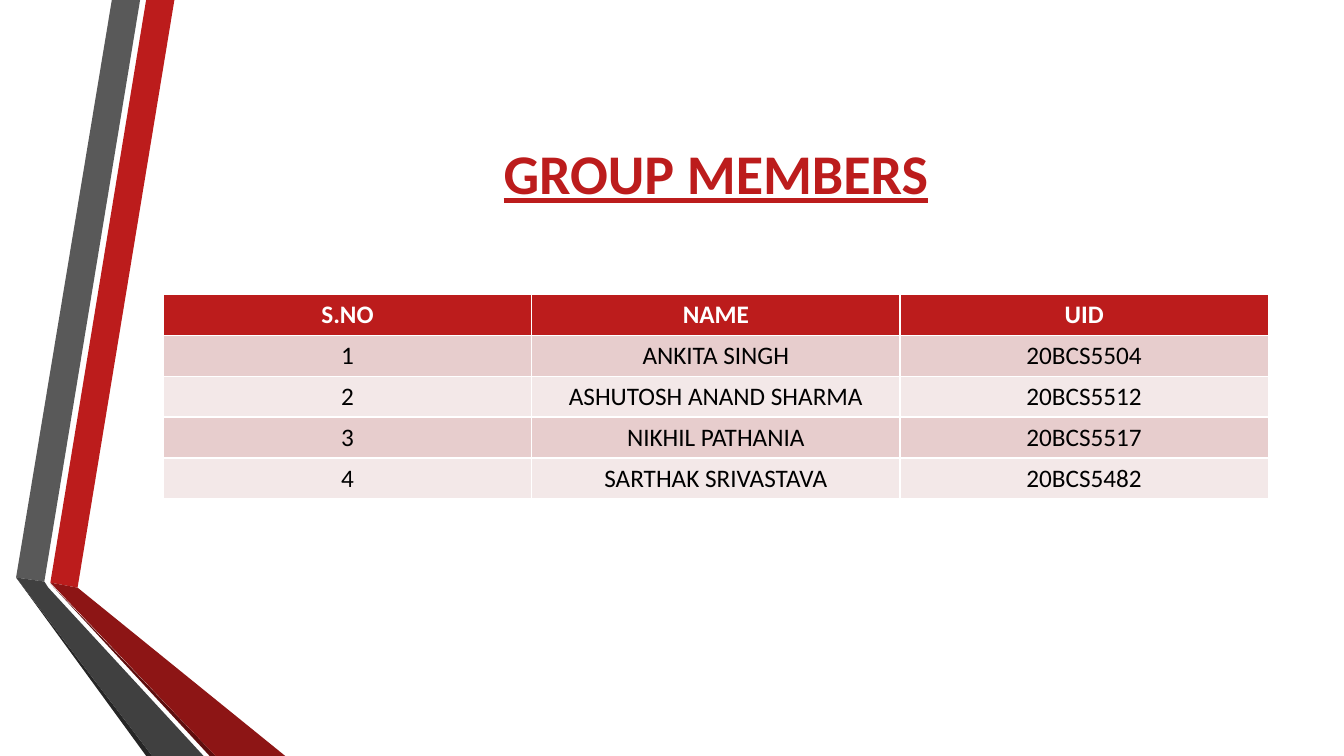
from dataclasses import dataclass

from pptx import Presentation
from pptx.dml.color import RGBColor
from pptx.enum.text import MSO_ANCHOR, PP_ALIGN
from pptx.util import Inches, Pt

TITLE = "GROUP MEMBERS"
HEADINGS = ("S.NO", "NAME", "UID")
MEMBERS = (
    ("ANKITA SINGH", "20BCS5504"),
    ("ASHUTOSH ANAND SHARMA", "20BCS5512"),
    ("NIKHIL PATHANIA", "20BCS5517"),
    ("SARTHAK SRIVASTAVA", "20BCS5482"),
)
RIBBONS = (
    ("BC1C1C", ((0.5, 5.78), (0.77, 5.83), (1.73, 0), (1.45, 0))),
    ("595959", ((1.39, 0), (1.11, 0), (0.16, 5.73), (0.44, 5.77))),
    ("262626", ((0.16, 5.73), (1.45, 7.5), (1.51, 7.5))),
    ("5E0E0E", ((0.5, 5.79), (2.08, 7.5), (2.14, 7.5))),
    ("8D1515", ((0.5, 5.78), (2.14, 7.5), (2.83, 7.5), (0.77, 5.83))),
    ("404040", ((2.02, 7.5), (0.48, 5.83), (0.44, 5.77), (0.16, 5.73), (1.51, 7.5))),
)


@dataclass(frozen=True)
class Theme:
    font: str = "Calibri"
    accent: str = "BC1C1C"
    heading_text: str = "FFFFFF"
    member_text: str = "000000"
    bands: tuple = ("E7CDCD", "F3E8E8")
    title_size: int = 40
    table_size: int = 18


THEME = Theme()
LEFT, WIDTH = Inches(1.62), Inches(10.96)
TITLE_TOP, TITLE_HEIGHT = Inches(0.75), Inches(1.92)
TABLE_TOP, TABLE_HEIGHT = Inches(2.92), Inches(2.03)


def style(paragraph, size, color, bold):
    paragraph.alignment = PP_ALIGN.CENTER
    font = paragraph.font
    font.name, font.size, font.bold = THEME.font, Pt(size), bold
    font.color.rgb = RGBColor.from_string(color)


def add_ribbon(slide, color, corners):
    start, *others = [(Inches(x), Inches(y)) for x, y in corners]
    builder = slide.shapes.build_freeform(*start)
    builder.add_line_segments(others, close=True)
    ribbon = builder.convert_to_shape()
    ribbon.shadow.inherit = False
    ribbon.fill.solid()
    ribbon.fill.fore_color.rgb = RGBColor.from_string(color)
    ribbon.line.fill.background()


def add_title(slide):
    title = slide.shapes.title
    title.left, title.top, title.width, title.height = LEFT, TITLE_TOP, WIDTH, TITLE_HEIGHT
    title.text_frame.text = TITLE
    title.text_frame.vertical_anchor = MSO_ANCHOR.MIDDLE
    heading = title.text_frame.paragraphs[0]
    style(heading, THEME.title_size, THEME.accent, True)
    heading.font.underline = True


def add_members(slide):
    rows = [HEADINGS] + [(str(n), *member) for n, member in enumerate(MEMBERS, 1)]
    table = slide.shapes.add_table(
        len(rows), len(HEADINGS), LEFT, TABLE_TOP, WIDTH, TABLE_HEIGHT
    ).table
    for r, row in enumerate(rows):
        is_heading = r == 0
        fill = THEME.accent if is_heading else THEME.bands[(r - 1) % 2]
        color = THEME.heading_text if is_heading else THEME.member_text
        for c, entry in enumerate(row):
            cell = table.cell(r, c)
            cell.text = entry
            cell.fill.solid()
            cell.fill.fore_color.rgb = RGBColor.from_string(fill)
            style(cell.text_frame.paragraphs[0], THEME.table_size, color, is_heading)


def main():
    """Build the group members slide."""
    deck = Presentation()
    deck.slide_width, deck.slide_height = Inches(13.33), Inches(7.5)
    slide = deck.slides.add_slide(deck.slide_layouts[5])
    for color, corners in RIBBONS:
        add_ribbon(slide, color, corners)
    add_title(slide)
    add_members(slide)
    deck.save("out.pptx")


if __name__ == "__main__":
    main()
